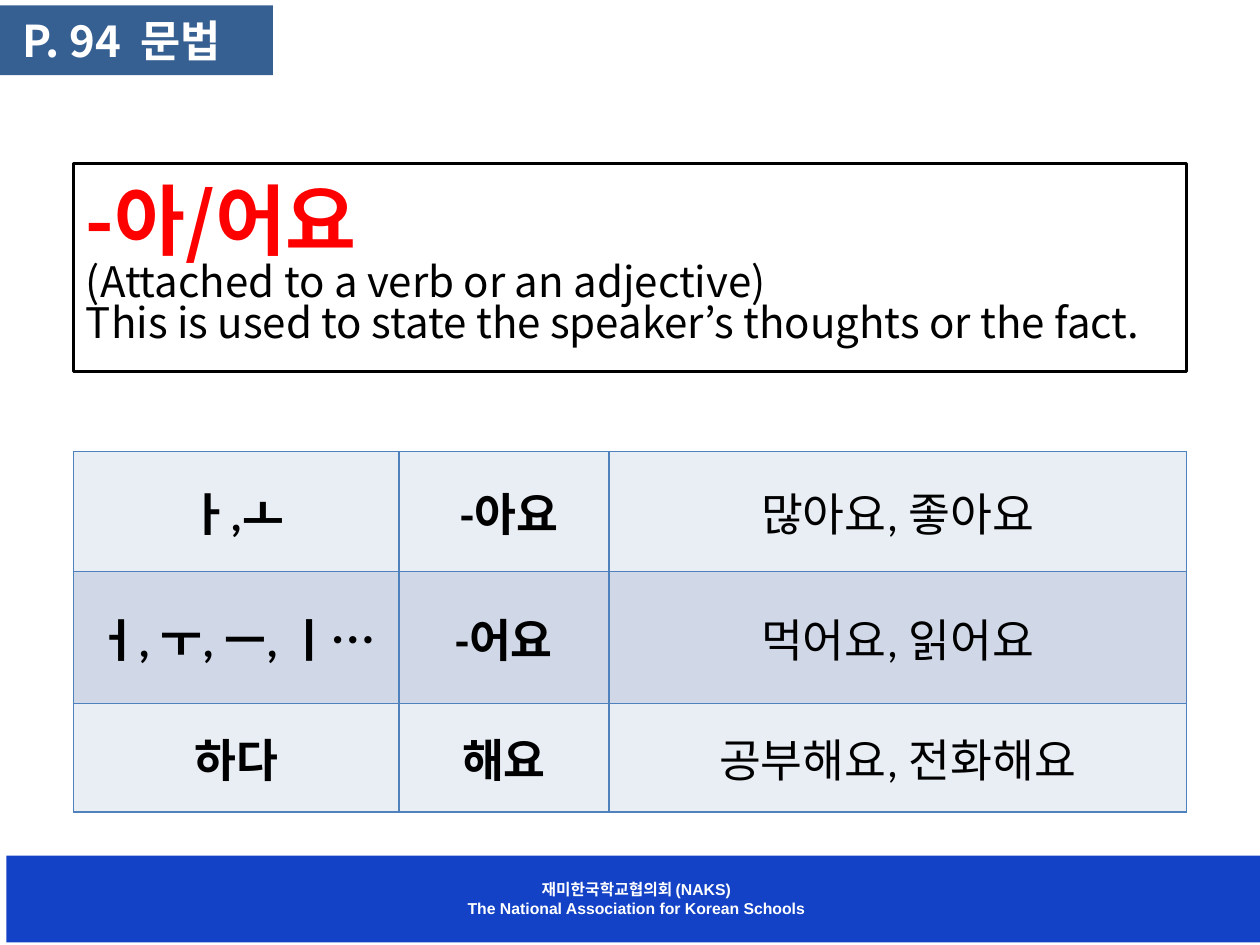
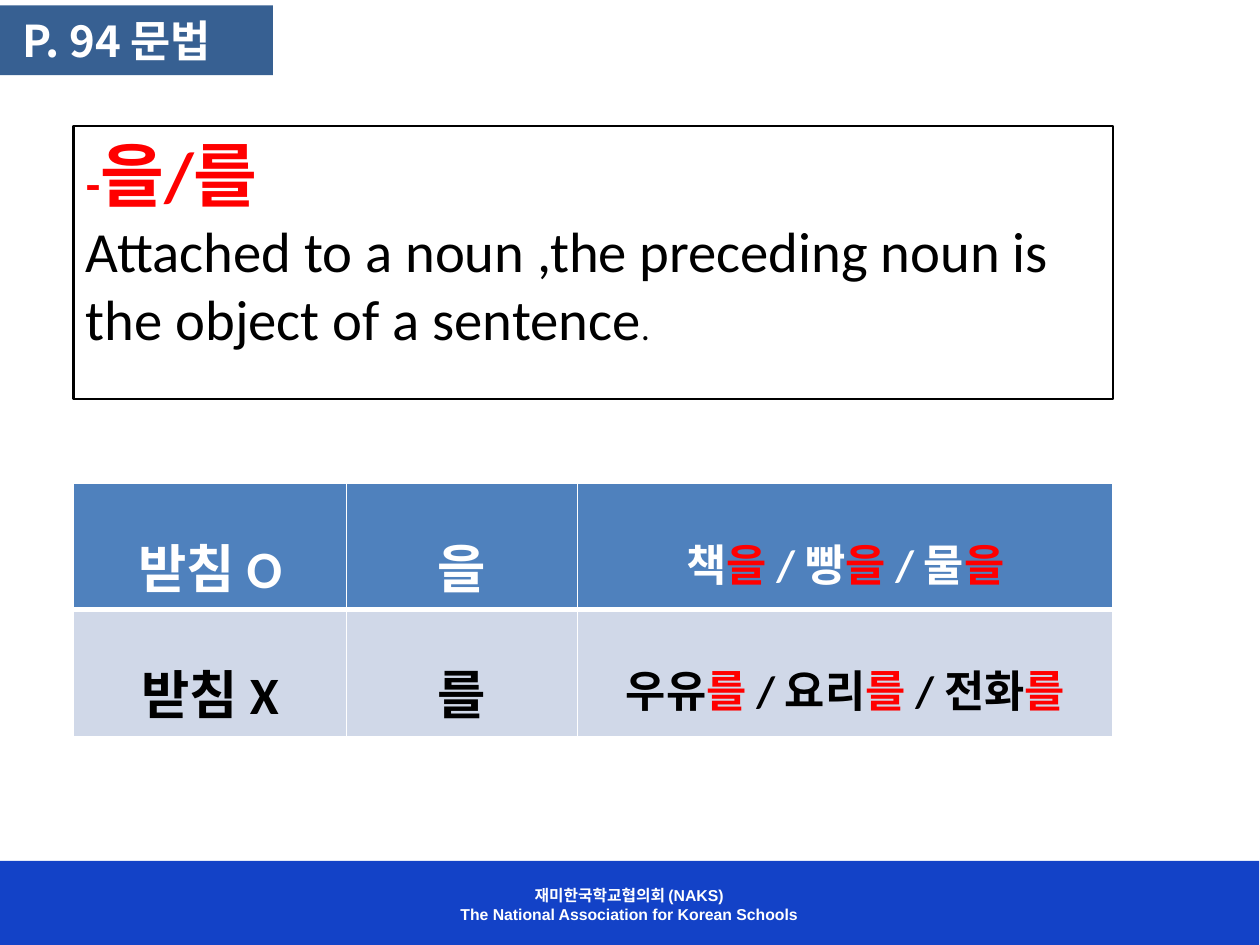
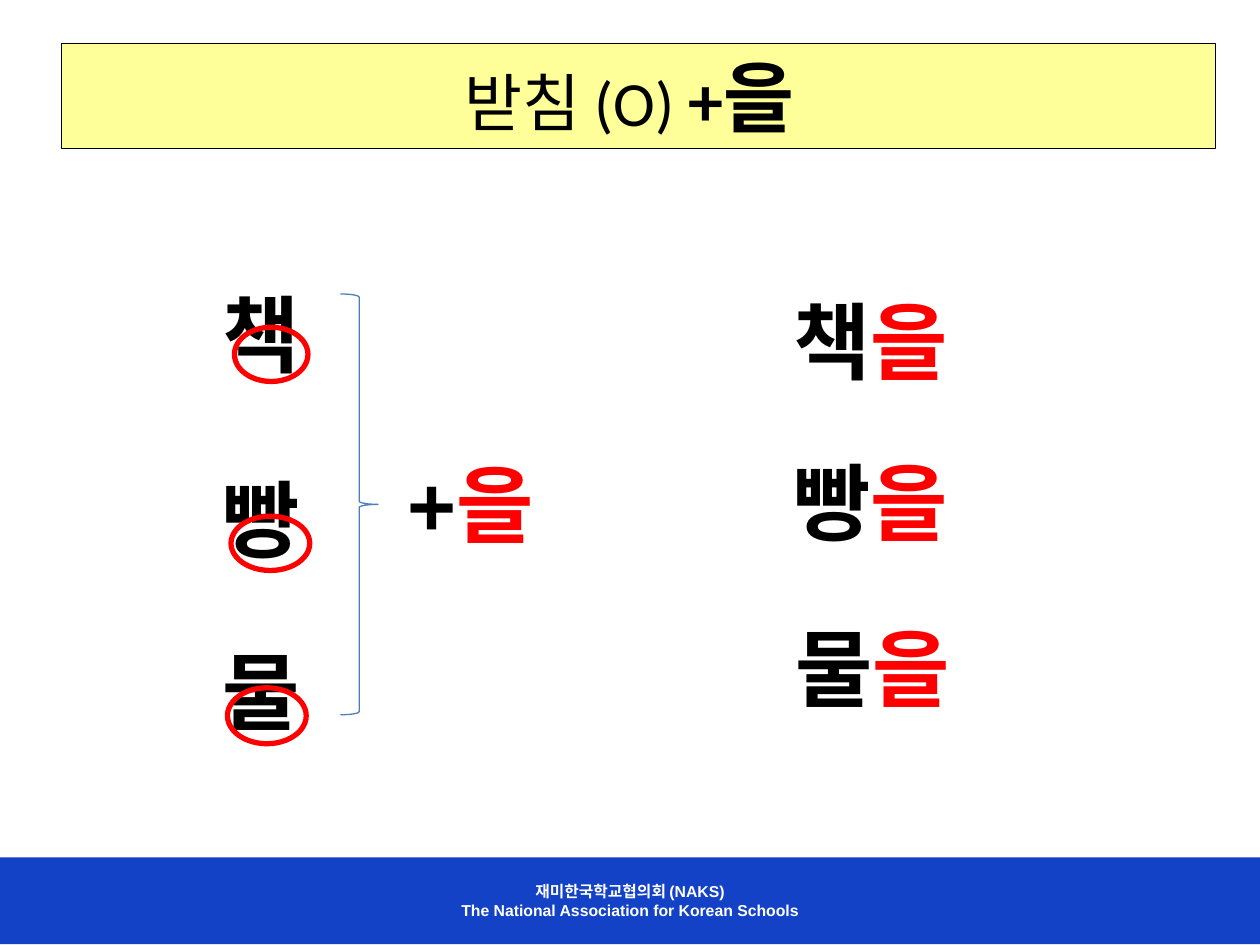
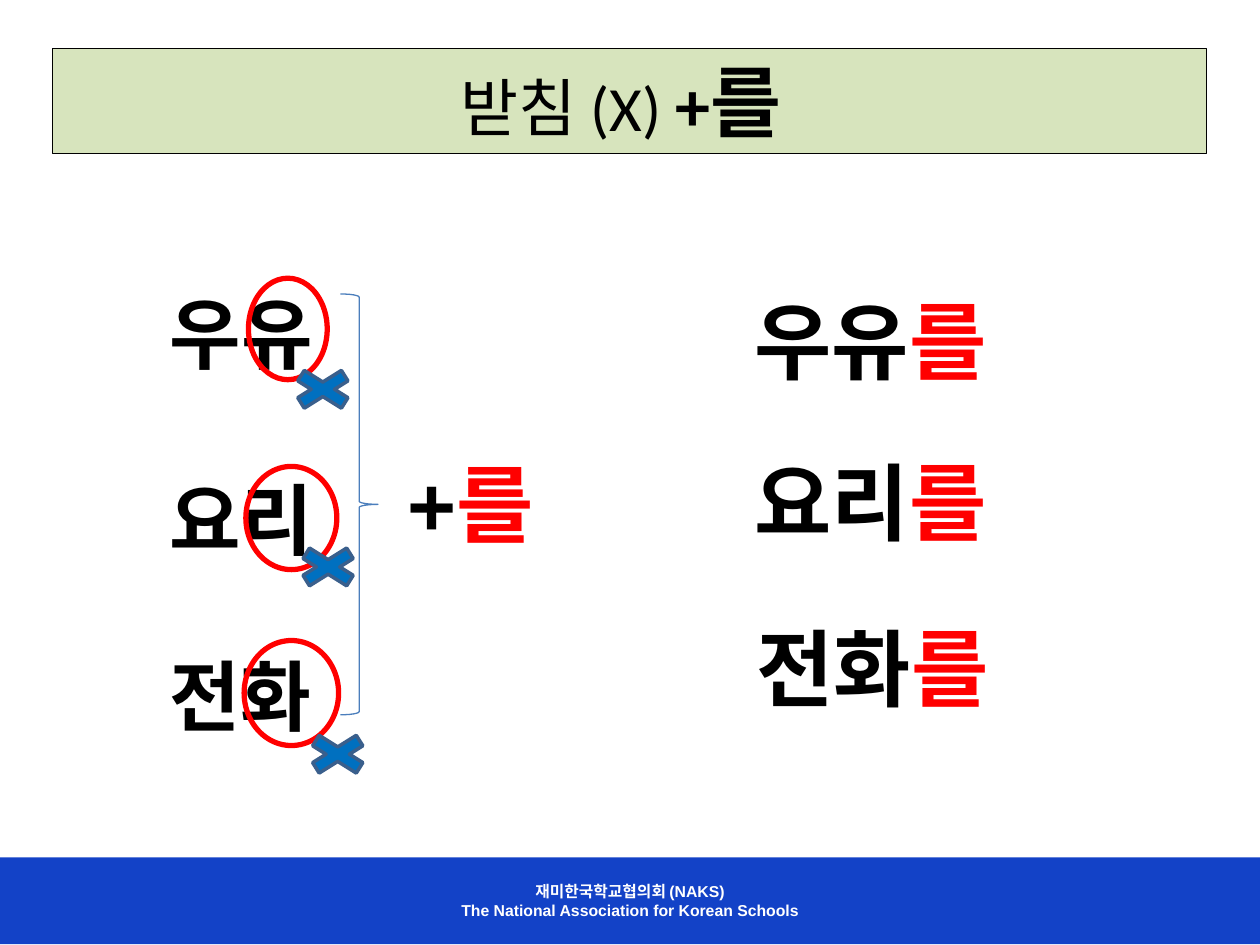
from dataclasses import dataclass

import pptx
import pptx.chart.data
import pptx.dml.color
import pptx.enum.shapes
import pptx.enum.text
import pptx.oxml
import pptx.oxml.ns
import pptx.util
from lxml import etree

Pt = pptx.util.Pt
Shape = pptx.enum.shapes.MSO_SHAPE
Anchor = pptx.enum.text.MSO_ANCHOR
Align = pptx.enum.text.PP_ALIGN
AutoSize = pptx.enum.text.MSO_AUTO_SIZE
qn = pptx.oxml.ns.qn


@dataclass(frozen=True)
class Theme:
    """Colours, fonts and type sizes shared by the slides."""

    black: str = "000000"
    white: str = "FFFFFF"
    red: str = "FF0000"
    footer: str = "1342C7"
    tag: str = "376092"
    accent: str = "4F81BD"
    band_light: str = "E9EDF4"
    band_dark: str = "D0D8E8"
    yellow: str = "FFFF99"
    green: str = "D7E4BD"
    brace: str = "4B7EBC"
    cross: str = "0070C0"
    cross_edge: str = "3A5F8C"
    body_font: str = "Calibri"
    korean_font: str = "Noto Sans CJK KR"
    footer_font: str = "Arial"
    footer_size: float = 9
    tag_size: float = 25
    cell_size: float = 26
    heading_size: float = 30
    body_size: float = 24
    word_size: float = 48


THEME = Theme()


def rgb(color):
    """Turn a hex string into a colour."""
    return pptx.dml.color.RGBColor.from_string(color)


def write(paragraph, text, size=None, color=THEME.black, bold=False, font=THEME.body_font, spacing=None):
    """Add one formatted run to a paragraph."""
    run = paragraph.add_run()
    run.text = text
    run.font.size = Pt(size)
    run.font.bold = bold
    run.font.color.rgb = rgb(color)
    run.font.name = font
    properties = run.font._element
    etree.SubElement(properties, qn("a:ea")).set("typeface", THEME.korean_font)
    if spacing:
        properties.set("spc", str(spacing))


def fill_frame(frame, paragraphs, align=Align.LEFT, anchor=Anchor.MIDDLE, line_spacing=None, grow=False):
    """Write paragraphs, each a list of (text, format) runs, into a text frame."""
    frame.word_wrap = True
    frame.vertical_anchor = anchor
    if grow:
        frame.auto_size = AutoSize.SHAPE_TO_FIT_TEXT
    for index, runs in enumerate(paragraphs):
        paragraph = frame.add_paragraph() if index else frame.paragraphs[0]
        paragraph.alignment = align
        if line_spacing:
            paragraph.line_spacing = line_spacing
        for text, style in runs:
            write(paragraph, text, **style)


def add_box(slide, kind, box, fill=None, line=None, width=1.0):
    """Draw a preset shape in a box given in points."""
    shape = slide.shapes.add_shape(kind, *map(Pt, box))
    shape.shadow.inherit = False
    if fill:
        shape.fill.solid()
        shape.fill.fore_color.rgb = rgb(fill)
    else:
        shape.fill.background()
    if line:
        shape.line.color.rgb = rgb(line)
        shape.line.width = Pt(width)
    else:
        shape.line.fill.background()
    return shape


def add_label(slide, box, paragraphs, **layout):
    """Place a text box in a box given in points."""
    label = slide.shapes.add_textbox(*map(Pt, box))
    fill_frame(label.text_frame, paragraphs, **layout)


def shift(origin, box):
    """Move a relative box to its place within a region."""
    return (origin[0] + box[0], origin[1] + box[1], *box[2:])


def footer(slide, box):
    """Draw the association's footer band."""
    band = add_box(slide, Shape.RECTANGLE, box, fill=THEME.footer)
    style = dict(size=THEME.footer_size, color=THEME.white, bold=True, font=THEME.footer_font)
    lines = ("재미한국학교협의회 (NAKS)", "The National Association for Korean Schools")
    fill_frame(band.text_frame, [[(line, style)] for line in lines], align=Align.CENTER)


def page_tag(slide, box, gap=None):
    """Draw the page tag in the top left corner."""
    tag = add_box(slide, Shape.RECTANGLE, box, fill=THEME.tag)
    style = dict(size=THEME.tag_size, color=THEME.white, bold=True, font=THEME.korean_font)
    tag.text_frame.margin_left = Pt(12.8)
    fill_frame(tag.text_frame, [[("P. 94", style), (" ", dict(style, spacing=gap)), ("문법", style)]])


def rule_box(slide, box, paragraphs, **layout):
    """Draw the outlined box that states a grammar rule."""
    panel = add_box(slide, Shape.RECTANGLE, box, line=THEME.black, width=1.5)
    fill_frame(panel.text_frame, paragraphs, **layout)


def cell_borders(cell, color, widths):
    """Set left, right, top and bottom borders of a table cell."""
    properties = cell._tc.get_or_add_tcPr()
    for index, (side, width) in enumerate(zip("LRTB", widths)):
        line = etree.Element(qn(f"a:ln{side}"), w=str(int(Pt(width))))
        solid = etree.SubElement(line, qn("a:solidFill"))
        etree.SubElement(solid, qn("a:srgbClr"), val=color)
        properties.insert(index, line)


def grammar_table(slide, box, columns, heights, rows, fills, border, seam=1, margins=None, line_spacing=None):
    """Draw a table whose cells are lists of runs; seam is the line between rows."""
    frame = slide.shapes.add_table(len(rows), len(columns), *map(Pt, box))
    table = frame.table
    table.first_row = table.horz_banding = False
    for column, width in zip(table.columns, columns):
        column.width = Pt(width)
    for index, (row, height) in enumerate(zip(table.rows, heights)):
        row.height = Pt(height)
        top = seam if index else 1
        bottom = seam if index < len(rows) - 1 else 1
        for cell, runs in zip(row.cells, rows[index]):
            cell.fill.solid()
            cell.fill.fore_color.rgb = rgb(fills[index])
            cell_borders(cell, border, (1, 1, top, bottom))
            if margins:
                cell.margin_left, cell.margin_top, cell.margin_right, cell.margin_bottom = map(Pt, margins)
            cell.vertical_anchor = Anchor.MIDDLE
            paragraph = cell.text_frame.paragraphs[0]
            paragraph.alignment = Align.CENTER
            if line_spacing:
                paragraph.line_spacing = line_spacing
            for text, style in runs:
                write(paragraph, text, **style)


def pattern_bar(slide, box, condition, particle, fill, width):
    """Draw the coloured bar that names a pattern."""
    bar = add_box(slide, Shape.RECTANGLE, box, fill=fill, line=THEME.black, width=width)
    runs = [
        (f"받침 ({condition}) ", dict(size=36)),
        ("+", dict(size=40, bold=True)),
        (f"{particle} ", dict(size=44, bold=True)),
    ]
    fill_frame(bar.text_frame, [runs], align=Align.CENTER, anchor=Anchor.TOP, grow=True)


def practice(slide, box, words, particle, word_boxes, sizes, rings, crosses=()):
    """Draw nouns, the brace with the particle, and the joined answers."""
    answer_boxes = ((282, 11, 251, 78), (282, 102, 251, 81), (282, 186, 253, 102))
    black = dict(size=THEME.word_size, bold=True)
    red = dict(black, color=THEME.red)
    for word, word_box, size, answer_box in zip(words, word_boxes, sizes, answer_boxes):
        add_label(slide, shift(box, word_box), [[(word, dict(black, size=size))]])
        add_label(slide, shift(box, answer_box), [[(word, black), (particle, red)]], align=Align.CENTER)
    for ring in rings:
        add_box(slide, Shape.OVAL, shift(box, ring), line=THEME.red, width=3)
    arial = dict(font=THEME.footer_font)
    add_label(slide, shift(box, (136, 111, 96, 66)), [[("+", black | arial), (particle, red | arial)]],
              anchor=Anchor.TOP, grow=True)
    add_box(slide, Shape.RIGHT_BRACE, shift(box, (104.5, 24, 21.5, 240.5)), line=THEME.brace, width=0.75)
    for left, top in crosses:
        add_box(slide, Shape.MATH_MULTIPLY, shift(box, (left, top, 48, 30)),
                fill=THEME.cross, line=THEME.cross_edge, width=2)


def verb_ending_slide(slide):
    """Build the slide on the verb ending."""
    ending = dict(size=44, color=THEME.red, bold=True, font=THEME.korean_font)
    note = dict(size=THEME.body_size, font=THEME.korean_font)
    rows = (
        ("ㅏ,ㅗ", " -아요", "많아요, 좋아요"),
        ("ㅓ, ㅜ, ㅡ, ㅣ…", "-어요", "먹어요, 읽어요"),
        ("하다", "해요", "공부해요, 전화해요"),
    )
    cells = [[[(text, dict(size=THEME.cell_size, bold=column < 2))] for column, text in enumerate(row)]
             for row in rows]
    grammar_table(slide, (42, 258, 636, 182), (186, 120, 330), (68.5, 52, 62), cells,
                  (THEME.band_light, THEME.band_dark, THEME.band_light), THEME.accent, margins=(5, 0, 5, 0))
    rule_box(slide, (42, 93.5, 636, 119), [
        [("-아/어요", ending)],
        [("(Attached to a verb or an adjective)", note)],
        [("This is used to state the speaker’s thoughts or the fact.", note)],
    ], line_spacing=0.82)
    footer(slide, (3.6, 489, 720, 49.5))
    page_tag(slide, (0, 3, 156, 40), gap=570)


def object_particle_slide(slide):
    """Build the slide on the object particle."""
    red = dict(color=THEME.red, bold=True)
    body = dict(size=32.4)
    rule_box(slide, (42, 72, 594, 156), [
        [("-", dict(red, size=27)), ("을/를", dict(red, size=39.6))],
        [("Attached to a noun ,the preceding noun is the object of a sentence", body), (".", dict(size=19.8))],
    ], anchor=Anchor.TOP)
    rows = (
        ("받침 O", "을", ("책", "빵", "물"), THEME.white),
        ("받침 X", "를", ("우유", "요리", "전화"), THEME.black),
    )
    cells = []
    for condition, particle, nouns, color in rows:
        heading = dict(size=THEME.heading_size, color=color, bold=True)
        examples = []
        for index, noun in enumerate(nouns):
            lead, tail = "/ " if index else "", " " if index < len(nouns) - 1 else ""
            examples.append((lead + noun, dict(heading, size=THEME.tag_size)))
            examples.append((particle + tail, dict(red, size=THEME.tag_size)))
        cells.append([[(condition, heading)], [(particle, heading)], examples])
    grammar_table(slide, (42, 276, 594, 122), (156, 132, 306), (56, 59), cells,
                  (THEME.accent, THEME.band_dark), THEME.white, seam=3, line_spacing=1.5)
    footer(slide, (-0.5, 492, 720, 49.5))
    page_tag(slide, (0, 3, 156, 40))


def final_consonant_slide(slide):
    """Build the practice slide for nouns with a final consonant."""
    pattern_bar(slide, (35, 24.5, 659.5, 60.5), "O", "을", THEME.yellow, 0.25)
    footer(slide, (0, 490, 720, 49.5))
    practice(slide, (90, 144, 535, 300), ("책", "빵", "물"), "을",
             [(30, top, 76, 90) for top in (1, 107, 205)], (48, 48, 48),
             ((44, 43, 42, 31), (42, 151, 45, 31), (40, 249, 45, 32)))


def final_vowel_slide(slide):
    """Build the practice slide for nouns without a final consonant."""
    pattern_bar(slide, (30, 27.5, 659.5, 60.5), "X", "를", THEME.green, 0.5)
    footer(slide, (0, 490, 720, 49.5))
    practice(slide, (90, 144, 535, 300), ("우유", "요리", "전화"), "를",
             [(0, top, 106, 90) for top in (1, 107, 208)], (44.4, 44.4, 44),
             ((52, 15, 45, 58), (50.5, 122.5, 52, 59), (49.5, 222, 54, 60)),
             crosses=((70.5, 63.5), (73.5, 165), (79, 272)))


def main():
    """Build the four slides and save them."""
    deck = pptx.Presentation()
    deck.slide_width, deck.slide_height = Pt(720), Pt(540)
    for build in (verb_ending_slide, object_particle_slide, final_consonant_slide, final_vowel_slide):
        build(deck.slides.add_slide(deck.slide_layouts[6]))
    deck.save("out.pptx")


if __name__ == "__main__":
    main()
